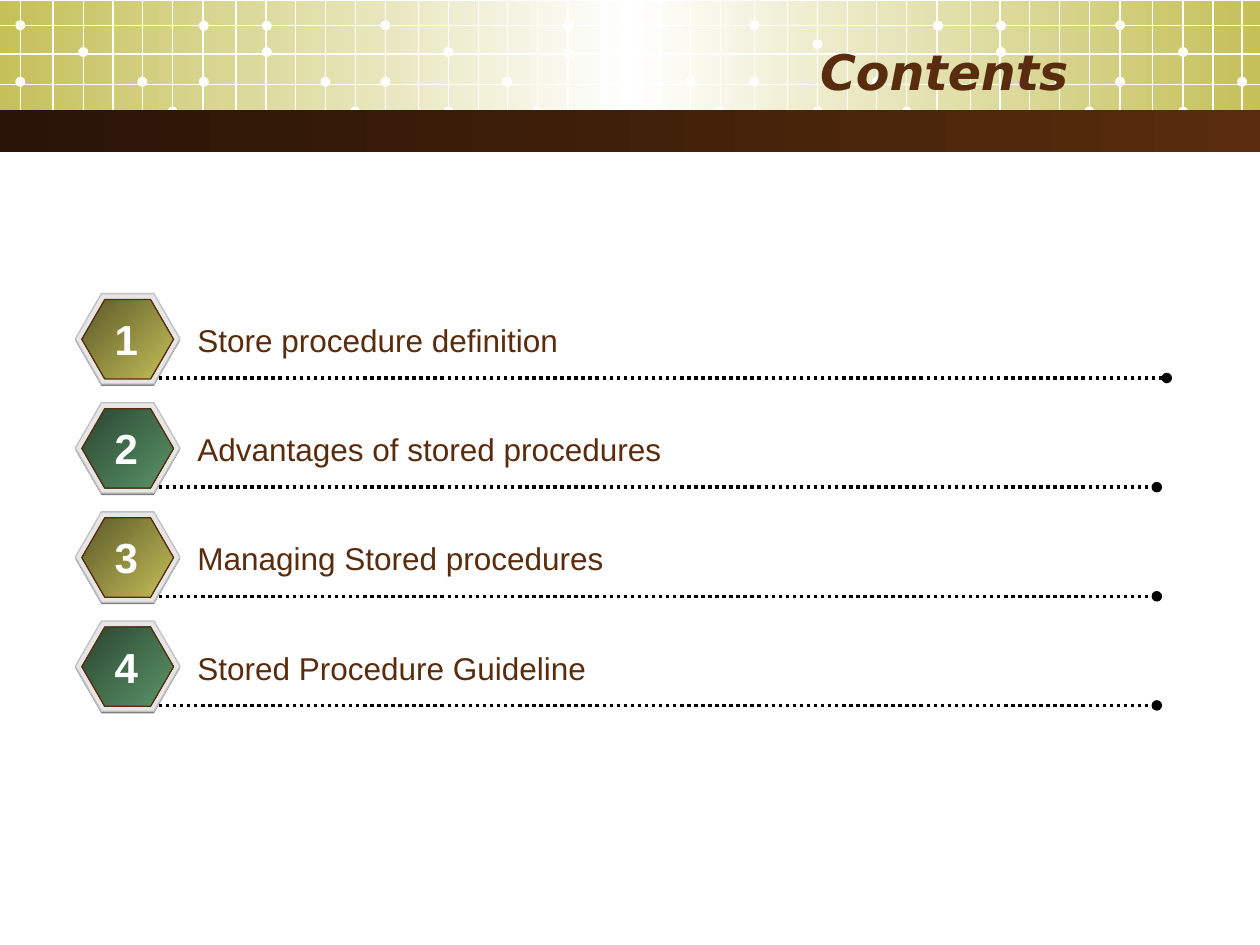
"""Build a contents slide with a gridded banner and four numbered hexagon entries."""
from lxml.etree import SubElement
from pptx import Presentation
from pptx.dml.color import RGBColor
from pptx.enum.dml import MSO_LINE
from pptx.enum.shapes import MSO_CONNECTOR, MSO_SHAPE
from pptx.enum.text import MSO_ANCHOR, MSO_AUTO_SIZE, PP_ALIGN
from pptx.oxml.ns import qn
from pptx.util import Cm, Pt

COLORS = {
    "white": "FFFFFF", "black": "000000", "brown": "592C0D", "dark_brown": "291406",
    "olive": "C5C059", "dark_olive": "5B5929", "green": "5B9569", "dark_green": "2A4531",
    "shadow": "808080", "rim": "E6E6E6", "rim_line": "C0C0C0",
}
TILE_LEFTS = [0.41, 7.77, 15.21, 22.58]
GRID_OFFSETS = [0, 0.66, 1.27, 1.87, 2.46, 3.07, 3.68, 4.35, 4.95, 5.55, 6.15, 6.75]
GRID_ROWS = [0.51, 1.09, 1.7, 2.26]
DOTS = [(0, 1.65), (0, 0.51), (1.27, 1.05), (1.27, 2.25), (2.46, 1.65), (3.07, 2.25),
        (3.7, 1.65), (3.7, 0.52), (4.97, 1.05), (4.97, 0.52), (6.15, 1.65), (6.75, 2.25)]
MOVED_DOTS = {(0, 3): 2.31, (1, 6): 1.09, (2, 2): 0.89, (2, 6): 1.3}
DOT_SIZE = 0.2
SLIDE_WIDTH = 25.4
ROW_TOP, ROW_PITCH = 5.92, 2.2
ENTRIES = [
    ("Store procedure definition", 13.49, 23.52),
    ("Advantages of stored procedures", 16.36, 23.32),
    ("Managing Stored procedures", 19.41, 23.32),
    ("Stored Procedure Guideline", 19.76, 23.32),
]
BADGE_FILLS = [("dark_olive", "olive"), ("dark_green", "green")]


def rgb(name):
    return RGBColor.from_string(COLORS[name])


def write_text(tf, text, size=18, font="Arial", color="brown", bold=False, italic=False,
               align=PP_ALIGN.LEFT):
    p = tf.paragraphs[0]
    p.alignment = align
    r = p.add_run()
    r.text = text
    r.font.size, r.font.name = Pt(size), font
    r.font.bold, r.font.italic = bold, italic
    r.font.color.rgb = rgb(color)


class SlideBuilder:
    def __init__(self, slide):
        self.slide = slide
        self.shapes = slide.shapes

    def group(self):
        return self.slide.shapes.add_group_shape().shapes

    def shape(self, kind, x, y, w, h, fill, line=None, angle=0, parent=None):
        sp = (parent or self.shapes).add_shape(kind, Cm(x), Cm(y), Cm(w), Cm(h))
        sp.shadow.inherit = False
        if isinstance(fill, str):
            sp.fill.solid()
            sp.fill.fore_color.rgb = rgb(fill)
        else:
            self.gradient(sp, fill, angle)
        if line:
            sp.line.color.rgb = rgb(line)
            sp.line.width = Pt(0.75)
        else:
            sp.line.fill.background()
        return sp

    def gradient(self, sp, names, angle):
        sp.fill.gradient()
        sp.fill.gradient_angle = angle
        stops = sp.element.spPr.find(qn("a:gradFill")).find(qn("a:gsLst"))
        stops.clear()
        for i, name in enumerate(names):
            gs = SubElement(stops, qn("a:gs"), pos=str(100000 * i // (len(names) - 1)))
            SubElement(gs, qn("a:srgbClr"), val=COLORS[name])

    def line(self, x1, y1, x2, y2, color, width=0.75, dotted=False, parent=None):
        cx = (parent or self.shapes).add_connector(
            MSO_CONNECTOR.STRAIGHT, Cm(x1), Cm(y1), Cm(x2), Cm(y2))
        cx.line.color.rgb = rgb(color)
        cx.line.width = Pt(width)
        spPr = cx.element.spPr
        if dotted:
            cx.line.dash_style = MSO_LINE.ROUND_DOT
            SubElement(spPr.find(qn("a:ln")), qn("a:tailEnd"), type="oval")
        SubElement(spPr, qn("a:effectLst"))

    def text(self, text, x, y, w, h, wrap=True, **fmt):
        tf = self.shapes.add_textbox(Cm(x), Cm(y), Cm(w), Cm(h)).text_frame
        tf.word_wrap = wrap
        tf.auto_size = MSO_AUTO_SIZE.SHAPE_TO_FIT_TEXT
        write_text(tf, text, **fmt)

    def title(self, text, x, y, w, h):
        sp = self.shapes.title
        sp.left, sp.top, sp.width, sp.height = Cm(x), Cm(y), Cm(w), Cm(h)
        sp.element.getparent().append(sp.element)
        tf = sp.text_frame
        tf.auto_size = MSO_AUTO_SIZE.NONE
        tf.vertical_anchor = MSO_ANCHOR.MIDDLE
        write_text(tf, text, size=28, font="DejaVu Sans", bold=True, italic=True,
                   align=PP_ALIGN.RIGHT)

    def banner(self):
        self.shape(MSO_SHAPE.RECTANGLE, 0, 0.03, SLIDE_WIDTH, 2.59, ("olive", "white", "olive"))
        grid = self.group()
        for tile, left in enumerate(TILE_LEFTS):
            for i, (dx, y) in enumerate(DOTS):
                y = MOVED_DOTS.get((tile, i), y)
                if left + dx < SLIDE_WIDTH:
                    self.shape(MSO_SHAPE.OVAL, left + dx - DOT_SIZE / 2, y - DOT_SIZE / 2,
                               DOT_SIZE, DOT_SIZE, "white", parent=grid)
            for dx in GRID_OFFSETS:
                if left + dx < SLIDE_WIDTH:
                    self.line(left + dx, 0, left + dx, 2.8, "white", parent=grid)
        for y in GRID_ROWS:
            self.line(0, y, SLIDE_WIDTH, y, "white", parent=grid)
        self.shape(MSO_SHAPE.RECTANGLE, 0, 2.22, SLIDE_WIDTH, 0.84, ("dark_brown", "brown"))

    def badge(self, y, fill):
        badge = self.group()
        for x, top, w, h, color, line in (
                (1.52, y + 0.04, 2.11, 1.82, "shadow", None),
                (1.52, y, 2.11, 1.82, "rim", "rim_line"),
                (1.65, y + 0.12, 1.85, 1.6, fill, "brown")):
            sp = self.shape(MSO_SHAPE.HEXAGON, x, top, w, h, color, line, 315, badge)
            sp.adjustments[0], sp.adjustments[1] = 0.289, 1.155

    def entry(self, index, text, width, line_end):
        y = ROW_TOP + index * ROW_PITCH
        self.badge(y, BADGE_FILLS[index % 2])
        self.line(3.2, y + 1.7, line_end, y + 1.7, "black", 2, dotted=True)
        self.text(text, 3.73, y + 0.43, width, 1.02)
        self.text(str(index + 1), 2.06, y + 0.28, 0.97, 1.27, wrap=False, size=24,
                  color="white", bold=True, align=PP_ALIGN.CENTER)


def main():
    prs = Presentation()
    prs.slide_width, prs.slide_height = Cm(SLIDE_WIDTH), Cm(19.05)
    s = SlideBuilder(prs.slides.add_slide(prs.slide_layouts[5]))
    s.banner()
    s.title("Contents", 1.27, 0.64, 20.52, 1.57)
    for i, entry in enumerate(ENTRIES):
        s.entry(i, *entry)
    prs.save("out.pptx")


if __name__ == "__main__":
    main()
